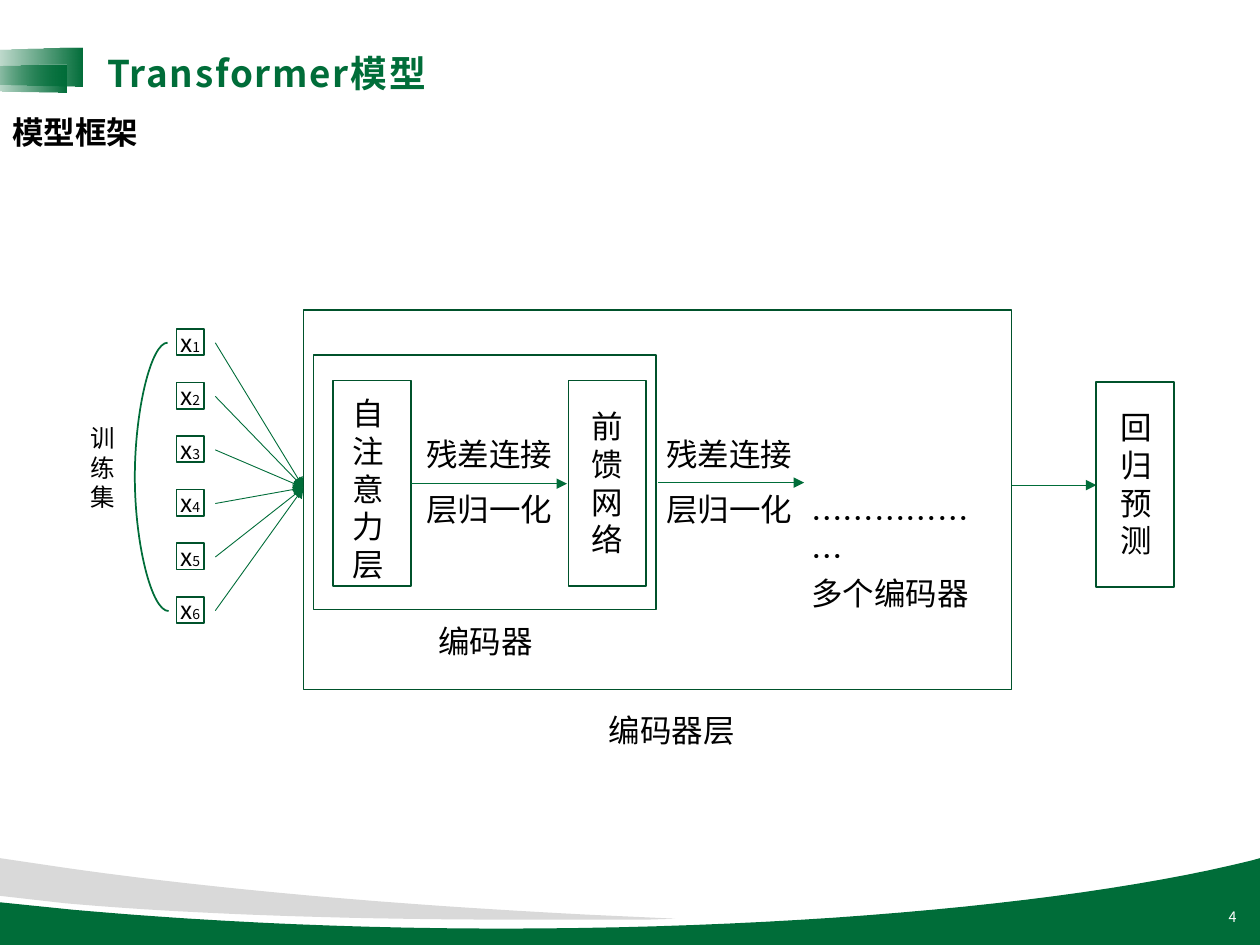
from lxml.etree import SubElement
from pptx import Presentation
from pptx.dml.color import RGBColor
from pptx.enum.shapes import MSO_CONNECTOR, MSO_SHAPE
from pptx.enum.text import MSO_ANCHOR, PP_ALIGN
from pptx.oxml.ns import qn
from pptx.util import Cm, Pt

GREEN = RGBColor(0x00, 0x6D, 0x39)
DARK = RGBColor(0x00, 0x52, 0x2B)
GREY = RGBColor(0xD9, 0xD9, 0xD9)
BLACK = RGBColor(0x00, 0x00, 0x00)
WHITE = RGBColor(0xFF, 0xFF, 0xFF)
FONT = "Noto Sans CJK SC"

# Outlines in cm: two numbers are a corner, six are a Bezier curve
HILL = [(25.4, 17.3), (25.4, 19.05), (0, 19.05), (0, 18.19), (1.47, 18.34),
        (4.04, 18.57, 7.01, 18.72, 10.13, 18.72),
        (16.43, 18.72, 21.97, 18.16, 25.22, 17.35)]
BAND = [(0, 17.3), (1.35, 17.5), (4.37, 17.93, 7.92, 18.24, 11.86, 18.44),
        (13.61, 18.52), (13.03, 18.54),
        (12.19, 18.54, 11.33, 18.54, 10.44, 18.54),
        (6.88, 18.54, 3.66, 18.42, 1.32, 18.21), (0, 18.06)]


def trace(path, steps=24):
    """Turn corners and curves into plain points."""
    pts = []
    for seg in path:
        if len(seg) == 2:
            pts.append(seg)
            continue
        ctrl = [pts[-1], seg[:2], seg[2:4], seg[4:]]
        for i in range(1, steps + 1):
            t = i / steps
            u = 1 - t
            mix = (u ** 3, 3 * u * u * t, 3 * u * t * t, t ** 3)
            pts.append(tuple(sum(m * p[k] for m, p in zip(mix, ctrl))
                             for k in (0, 1)))
    return [(Cm(x), Cm(y)) for x, y in pts]


def wave(slide, path, color):
    pts = trace(path)
    form = slide.shapes.build_freeform(*pts[0])
    form.add_line_segments(pts[1:], close=True)
    shape = form.convert_to_shape()
    shape.shadow.inherit = False
    shape.fill.solid()
    shape.fill.fore_color.rgb = color
    shape.line.fill.background()


def flag(slide, left, top, width, height):
    """Trapezoid on its side that fades out to the left."""
    shape = slide.shapes.add_shape(MSO_SHAPE.TRAPEZOID, Cm(left), Cm(top),
                                   Cm(width), Cm(height))
    shape.rotation = 270
    shape.adjustments[0] = 0.07
    shape.shadow.inherit = False
    shape.line.fill.background()
    shape.fill.gradient()
    shape.fill.gradient_angle = 270
    for stop, alpha in zip(shape.fill.gradient_stops, (0, 100000)):
        stop.color.rgb = GREEN
    for node, alpha in zip(shape.element.iter(qn("a:srgbClr")), (0, 100000)):
        SubElement(node, qn("a:alpha"), val=str(alpha))


def frame(slide, left, top, width, height):
    shape = slide.shapes.add_shape(MSO_SHAPE.RECTANGLE, Cm(left), Cm(top),
                                   Cm(width), Cm(height))
    shape.shadow.inherit = False
    shape.fill.background()
    shape.line.color.rgb = DARK
    shape.line.width = Pt(1)


def label(slide, left, top, width, height, *runs, size=18, gap=0,
          align=PP_ALIGN.LEFT, anchor=MSO_ANCHOR.TOP, **style):
    """Text box; each run is a string or a (string, size) pair."""
    box = slide.shapes.add_textbox(Cm(left), Cm(top), Cm(width), Cm(height))
    frm = box.text_frame
    frm.word_wrap = True
    frm.vertical_anchor = anchor
    para = frm.paragraphs[0]
    para.alignment = align
    para.line_spacing = Pt(size * 1.2)
    for part in runs:
        text, pts = part if isinstance(part, tuple) else (part, size)
        for i, line in enumerate(text.split("\n")):
            if i:
                para.add_line_break()
            run = para.add_run()
            run.text = line
            look = {"name": FONT, "size": Pt(pts), **style}
            color = look.pop("color", BLACK)
            for key, val in look.items():
                setattr(run.font, key, val)
            run.font.color.rgb = color
            prop = run.font._element
            SubElement(prop, qn("a:ea"), typeface=FONT)
            if gap:
                prop.set("spc", str(gap))


def link(slide, x1, y1, x2, y2, kind=MSO_CONNECTOR.STRAIGHT, width=0.5,
         head=True):
    line = slide.shapes.add_connector(kind, Cm(x1), Cm(y1), Cm(x2), Cm(y2))
    line.line.color.rgb = GREEN
    line.line.width = Pt(width)
    if head:
        SubElement(line.line._get_or_add_ln(), qn("a:tailEnd"),
                   type="triangle")
    SubElement(line.element.spPr, qn("a:effectLst"))
    return line


def inputs(slide):
    """Training set: six inputs that feed the encoder layer."""
    for i in range(6):
        y = 6.63 + 1.08 * i
        frame(slide, 3.56, y, 0.56, 0.53)
        label(slide, 3.38, y - 0.15, 0.97, 0.86, "x", (str(i + 1), 8), size=14)
        link(slide, 4.34, y + 0.28, 6.12, 9.83)
    arc = link(slide, 3.4, 12.32, 3.38, 6.91, MSO_CONNECTOR.CURVE, 1, False)
    geom = arc.element.spPr.find(qn("a:prstGeom"))
    SubElement(geom.get_or_add_avLst(), qn("a:gd"), name="adj1",
               fmla="val 3400000")
    label(slide, 1.57, 8.41, 1.24, 2.01, "训练集", size=14)


def block(slide, left, top, text, x, y):
    frame(slide, left, top, 1.57, 4.14)
    label(slide, x, y, 1.09, 3.33, text)


def step(slide, x1, x2, y, left):
    """Arrow with its two captions."""
    link(slide, x1, y, x2, y)
    label(slide, left, 8.64, 3.94, 0.99, "残差连接")
    label(slide, left, 9.75, 3.1, 1.63, "层归一化")


def main():
    prs = Presentation()
    prs.slide_width, prs.slide_height = Cm(25.4), Cm(19.05)
    slide = prs.slides.add_slide(prs.slide_layouts[6])

    # Background decor
    wave(slide, HILL, GREEN)
    wave(slide, BAND, GREY)
    flag(slide, 0.15, 0.23, 0.79, 2.24)
    flag(slide, 0.13, 0.66, 0.56, 1.85)

    # Headings and page number
    label(slide, 1.91, 0.89, 13.82, 1.14, "Transformer模型", size=21,
          gap=100, bold=True, color=GREEN)
    label(slide, 0, 2.16, 19.58, 1.02, "模型框架", bold=True)
    label(slide, 19.46, 17.98, 5.72, 1.02, "4", size=8.2, color=WHITE,
          align=PP_ALIGN.RIGHT, anchor=MSO_ANCHOR.MIDDLE)

    inputs(slide)

    # Encoder layer and its first encoder
    frame(slide, 6.12, 6.25, 14.27, 7.65)
    frame(slide, 6.32, 7.16, 6.91, 5.13)
    block(slide, 6.71, 7.67, "自注意力层", 6.86, 7.82)
    block(slide, 11.46, 7.67, "前馈网络", 11.68, 8.08)
    step(slide, 8.28, 11.43, 9.75, 8.34)
    step(slide, 13.26, 16.21, 9.73, 13.18)
    label(slide, 16.1, 9.93, 3.94, 2.4, "………………\n多个编码器")
    label(slide, 8.59, 12.42, 3.94, 1.63, "编码器")
    label(slide, 12.02, 14.2, 3.94, 1.63, "编码器层")

    # Output
    link(slide, 20.4, 9.78, 22.1, 9.78)
    block(slide, 22.1, 7.7, "回归预测", 22.33, 8.1)

    prs.save("out.pptx")


if __name__ == "__main__":
    main()
